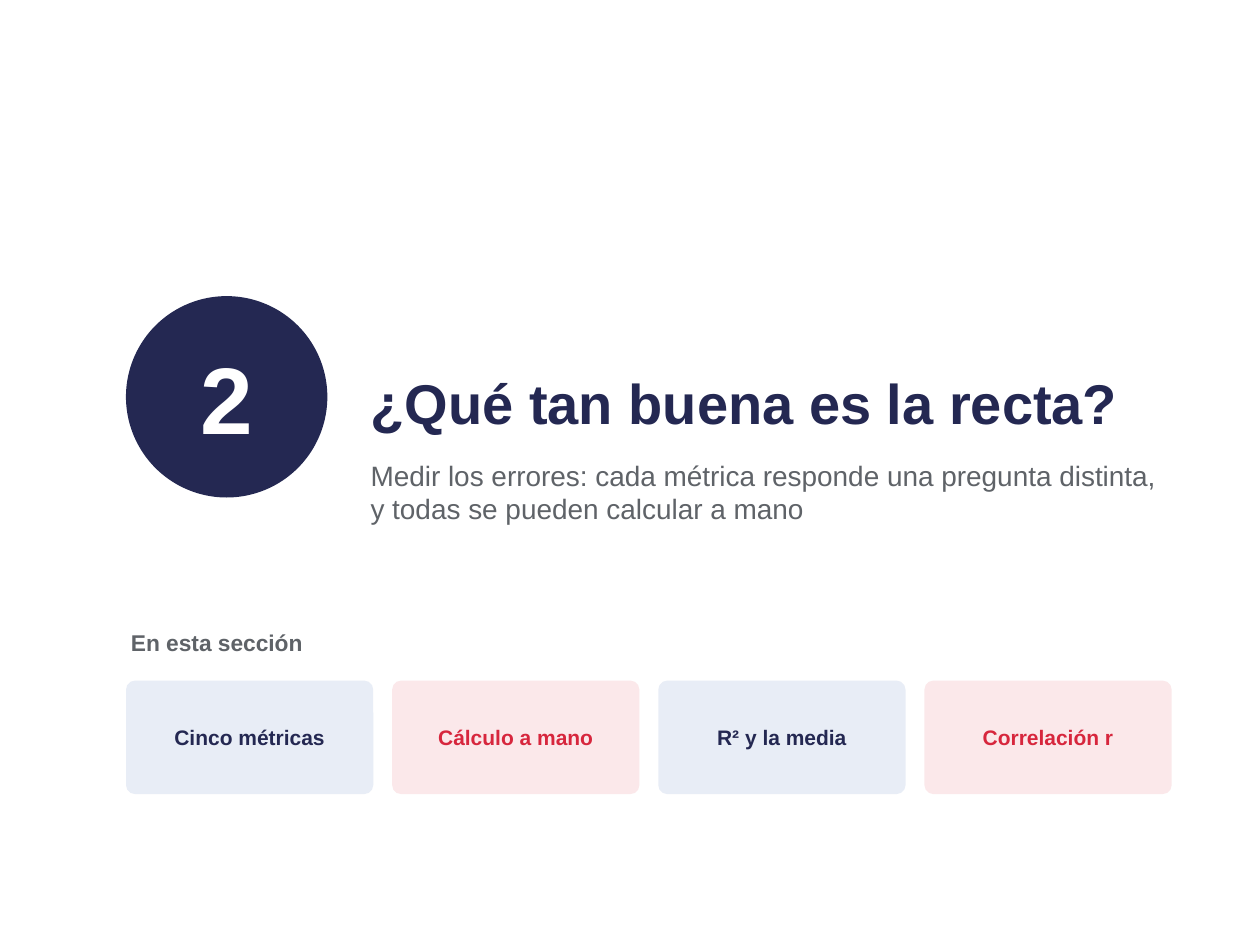
from pptx import Presentation
from pptx.dml.color import RGBColor
from pptx.enum.shapes import MSO_SHAPE as Shape
from pptx.enum.text import MSO_ANCHOR as Anchor, MSO_AUTO_SIZE as AutoSize, PP_ALIGN as Align
from pptx.util import Cm, Pt

COLORS = {
    "navy": "242852",
    "red": "D7263D",
    "gray": "5F6368",
    "pale_blue": "E8EDF6",
    "pale_red": "FBE8EA",
    "white": "FFFFFF",
}
FONT = "Arial"

LEFT, RIGHT = 2.54, 23.62
TEXT_LEFT = 7.37
CARD_GAP = 0.38
CARDS = ["Cinco métricas", "Cálculo a mano", "R² y la media", "Correlación r"]
CARD_STYLES = [("pale_blue", "navy"), ("pale_red", "red")]


def color(name):
    return RGBColor.from_string(COLORS[name])


class SectionPage:
    """Holds the deck, its current page and the shared text style."""

    def __init__(self):
        self.deck = Presentation()
        self.deck.slide_width, self.deck.slide_height = Cm(25.4), Cm(19.05)
        self.page = self.deck.slides.add_slide(self.deck.slide_layouts[0])

    def set_text(self, box, text, size, ink, bold=True, align=Align.LEFT,
                 anchor=Anchor.TOP, inset=0.1, after=4):
        frame = box.text_frame
        frame.word_wrap = True
        frame.auto_size = AutoSize.NONE
        frame.vertical_anchor = anchor
        frame.margin_left = frame.margin_right = Cm(inset)
        frame.margin_top = frame.margin_bottom = Cm(inset)
        para = frame.paragraphs[0]
        para.alignment = align
        para.space_before, para.space_after = Pt(0), Pt(after)
        span = para.add_run()
        span.text = text
        span.font.name, span.font.size, span.font.bold = FONT, Pt(size), bold
        span.font.color.rgb = color(ink)

    def placeholder(self, index, left, top, width, height, text, size, ink, **style):
        box = self.page.placeholders[index]
        box.left, box.top = Cm(left), Cm(top)
        box.width, box.height = Cm(width), Cm(height)
        self.set_text(box, text, size, ink, **style)

    def label(self, left, top, width, height, text, size, ink):
        box = self.page.shapes.add_textbox(Cm(left), Cm(top), Cm(width), Cm(height))
        self.set_text(box, text, size, ink)

    def panel(self, kind, left, top, width, height, fill, text, size, ink):
        """Adds a filled shape with centred text."""
        box = self.page.shapes.add_shape(kind, Cm(left), Cm(top), Cm(width), Cm(height))
        box.shadow.inherit = False
        box.fill.solid()
        box.fill.fore_color.rgb = color(fill)
        box.line.fill.background()
        if kind == Shape.ROUNDED_RECTANGLE:
            box.adjustments[0] = 0.08
        self.set_text(box, text, size, ink, align=Align.CENTER,
                      anchor=Anchor.MIDDLE, inset=0.2, after=3)


def main():
    section = SectionPage()
    text_width = RIGHT - TEXT_LEFT
    section.placeholder(0, TEXT_LEFT, 5.08, text_width, 3.81,
                        "¿Qué tan buena es la recta?", 32, "navy", anchor=Anchor.BOTTOM)
    section.placeholder(1, TEXT_LEFT, 9.14, text_width, 3.05,
                        "Medir los errores: cada métrica responde una pregunta distinta, "
                        "y todas se pueden calcular a mano", 16, "gray", bold=False)
    section.panel(Shape.OVAL, LEFT, 5.97, 4.06, 4.06, "navy", "2", 54, "white")

    section.label(LEFT, 12.57, RIGHT - LEFT, 1.02, "En esta sección", 13, "gray")
    card_width = (RIGHT - LEFT - CARD_GAP * (len(CARDS) - 1)) / len(CARDS)
    for index, name in enumerate(CARDS):
        fill, ink = CARD_STYLES[index % len(CARD_STYLES)]
        section.panel(Shape.ROUNDED_RECTANGLE, LEFT + index * (card_width + CARD_GAP),
                      13.72, card_width, 2.29, fill, name, 12, ink)

    section.deck.save("out.pptx")


if __name__ == "__main__":
    main()
